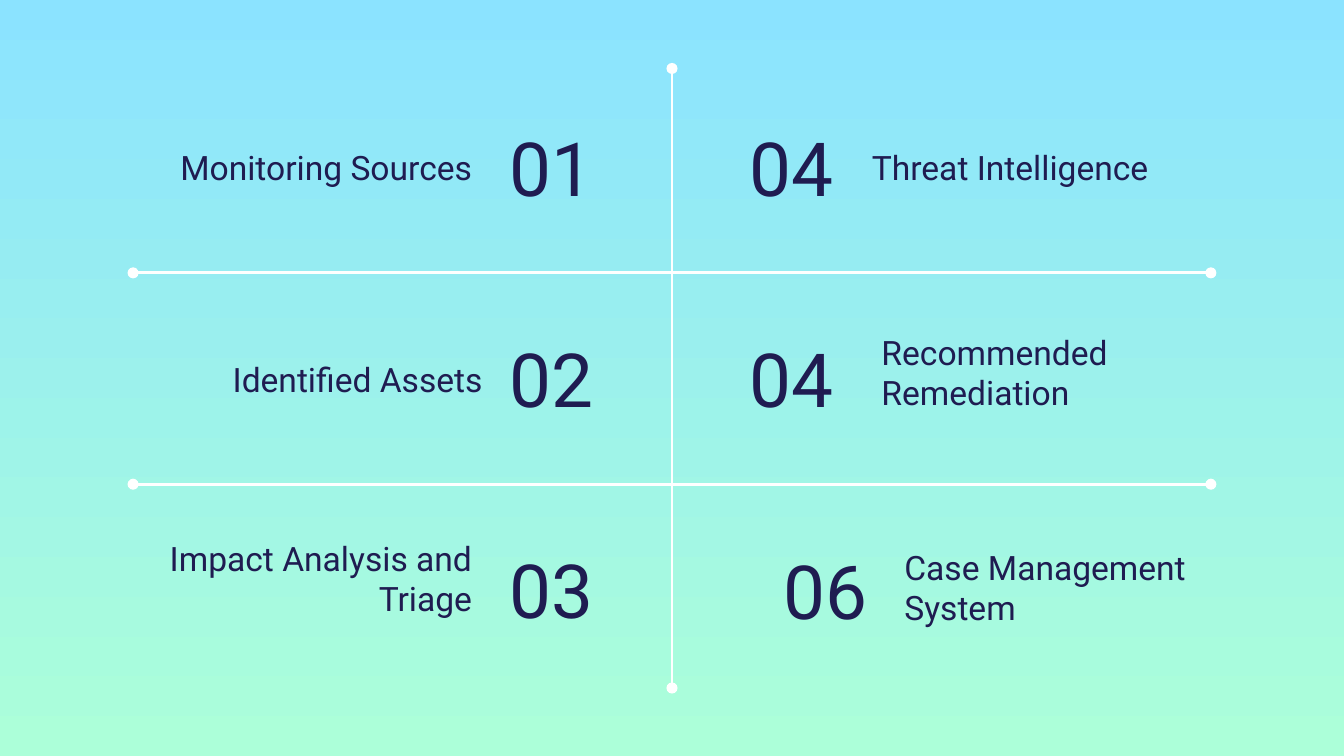
import pptx
import pptx.util
import pptx.dml.color
import pptx.enum.shapes
import pptx.enum.text
import pptx.oxml
import pptx.oxml.ns

Pt = pptx.util.Pt
LEFT = pptx.enum.text.PP_ALIGN.LEFT
RIGHT = pptx.enum.text.PP_ALIGN.RIGHT
MIDDLE = pptx.enum.text.MSO_ANCHOR.MIDDLE
BOTTOM = pptx.enum.text.MSO_ANCHOR.BOTTOM

WIDTH, HEIGHT = 720, 405
FONT, INK, WHITE = "Roboto", "1F1C51", "FFFFFF"
SKY, MINT = "8BE3FF", "ACFFD9"

# number, its left and top; label, its left and top
LEFT_STEPS = [
    ("01", 265.7, 58.3, "Monitoring Sources", 45.4, 71.3),
    ("02", 265.7, 171.4, "Identified Assets", 51.1, 185),
    ("03", 265.7, 284.4, "Impact Analysis and Triage", 45.4, 302.4),
]
RIGHT_STEPS = [
    ("04", 360, 58.3, "Threat Intelligence", 460, 71.3),
    ("04", 360, 171.4, "Recommended Remediation", 465.1, 192.2),
    ("06", 378, 285.1, "Case Management System", 477.4, 307.4),
]
NUMBER_SIZE = (93.6, 61.9)
LABEL_SIZE = (214.6, 36)

MARGIN = 71.3
DIVIDERS = [(WIDTH / 2, 36.7, WIDTH / 2, 368.6)] + [
    (MARGIN, y, WIDTH - MARGIN, y) for y in (146.2, 259.4)
]


def color(value):
    return pptx.dml.color.RGBColor.from_string(value)


def write(box, place, size, text, points, align, anchor):
    box.left, box.top = map(Pt, place)
    box.width, box.height = map(Pt, size)
    frame = box.text_frame
    frame.word_wrap = True
    frame.auto_size = pptx.enum.text.MSO_AUTO_SIZE.NONE
    frame.vertical_anchor = anchor
    frame.margin_left = frame.margin_right = Pt(7.2)
    frame.margin_top = frame.margin_bottom = Pt(7.2)
    para = frame.paragraphs[0]
    para.alignment = align
    span = para.add_run()
    span.text = text
    span.font.name = FONT
    span.font.size = Pt(points)
    span.font.color.rgb = color(INK)


def add_divider(page, ends):
    """Draw a white line with a dot at each end."""
    line = page.shapes.add_connector(
        pptx.enum.shapes.MSO_CONNECTOR.STRAIGHT, *map(Pt, ends))
    line.line.color.rgb = color(WHITE)
    line.line.width = Pt(1.5)
    outline = line.line._get_or_add_ln()
    for tag in ("a:headEnd", "a:tailEnd"):
        outline.append(pptx.oxml.parse_xml(
            f'<{tag} {pptx.oxml.ns.nsdecls("a")} type="oval"/>'))
    line._element.spPr.append(pptx.oxml.parse_xml(
        f'<a:effectLst {pptx.oxml.ns.nsdecls("a")}/>'))


deck = pptx.Presentation()
deck.slide_width, deck.slide_height = Pt(WIDTH), Pt(HEIGHT)
page = deck.slides.add_slide(deck.slide_layouts.get_by_name("Title Only"))

fill = page.background.fill
fill.gradient()
fill.gradient_angle = 270
for stop, shade in zip(fill.gradient_stops, (SKY, MINT)):
    stop.color.rgb = color(shade)

for ends in DIVIDERS:
    add_divider(page, ends)

title = page.shapes.title
for steps, number_align, label_align in (
        (LEFT_STEPS, LEFT, RIGHT), (RIGHT_STEPS, RIGHT, LEFT)):
    for number, number_x, number_y, label, label_x, label_y in steps:
        is_first = steps is LEFT_STEPS and number == "01"
        number_box = title if is_first else page.shapes.add_textbox(0, 0, 0, 0)
        write(number_box, (number_x, number_y), NUMBER_SIZE,
              number, 40, number_align, MIDDLE)
        write(page.shapes.add_textbox(0, 0, 0, 0), (label_x, label_y), LABEL_SIZE,
              label, 18, label_align, BOTTOM)

deck.save("out.pptx")
